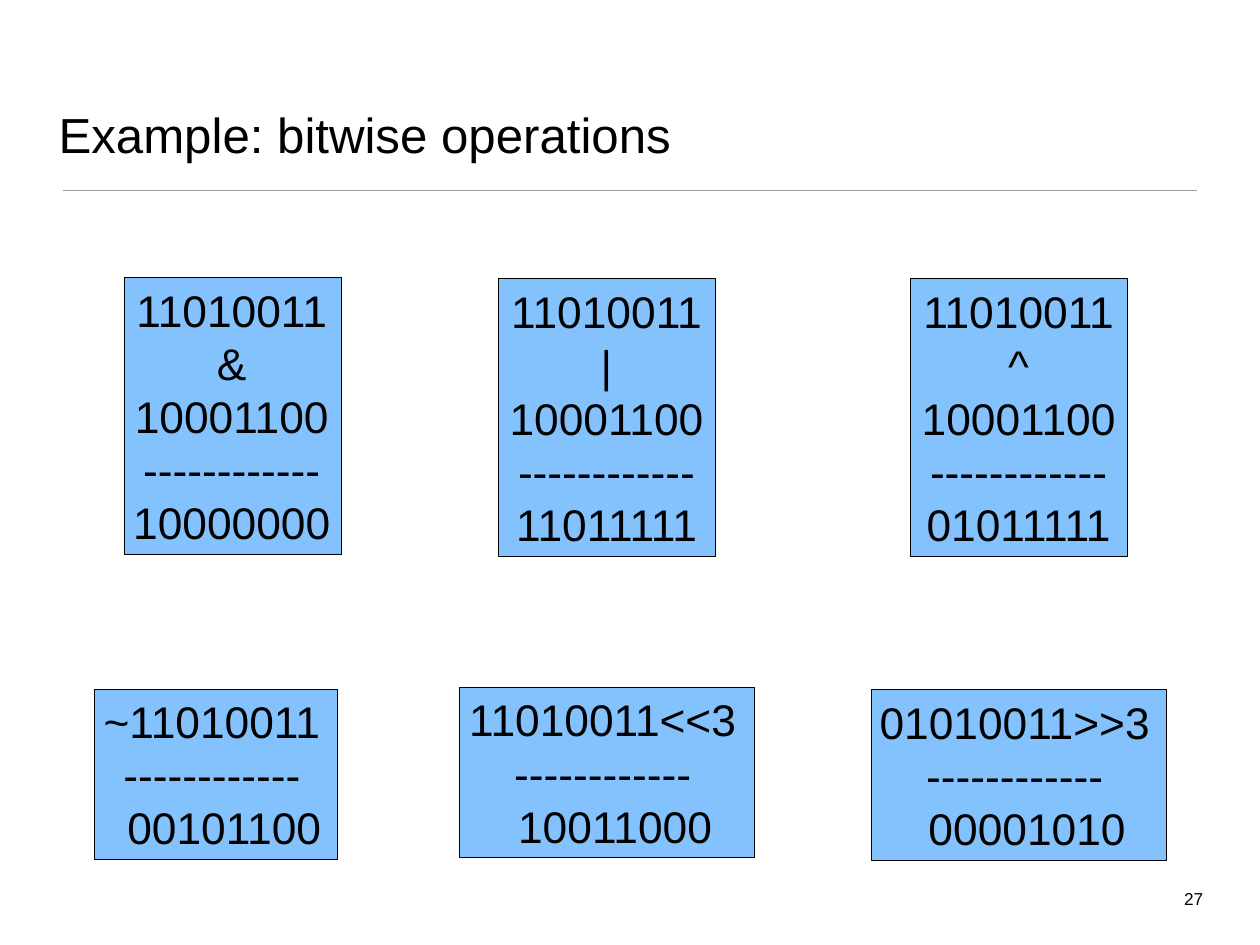
from lxml import etree
from pptx import Presentation
from pptx.dml.color import RGBColor
from pptx.enum.shapes import MSO_CONNECTOR as Connector, MSO_SHAPE as Shape
from pptx.enum.text import MSO_ANCHOR as Anchor, MSO_AUTO_SIZE as AutoSize, PP_ALIGN as Align
from pptx.oxml.ns import qn
from pptx.util import Inches, Pt

RULE = "------------"
BINARY_OPERATIONS = [
    (1.4, 3.13, "&", "10000000"),
    (5.63, 3.15, "|", "11011111"),
    (10.28, 3.15, "^", "01011111"),
]
UNARY_OPERATIONS = [
    (1.07, 7.78, 2.74, "~11010011", "00101100"),
    (5.19, 7.76, 3.32, "11010011<<3", "10011000"),
    (9.84, 7.79, 3.32, "01010011>>3", "00001010"),
]


def color(hex_value):
    """Turn a hex string into a colour."""
    return RGBColor.from_string(hex_value)


def place(shape, left, top, width, height):
    """Set the position and size of a shape in inches."""
    shape.left, shape.top = Inches(left), Inches(top)
    shape.width, shape.height = Inches(width), Inches(height)


def write(shape, text, size, align, anchor, margins, wrap=True):
    """Fill a shape with black Arial text; margins run left, top, right, bottom."""
    frame = shape.text_frame
    frame.text = text
    frame.auto_size = AutoSize.NONE
    frame.word_wrap = wrap
    frame.vertical_anchor = anchor
    frame.margin_left, frame.margin_top, frame.margin_right, frame.margin_bottom = map(Inches, margins)
    for paragraph in frame.paragraphs:
        paragraph.alignment = align
        for run in paragraph.runs:
            run.font.name = "Arial"
            run.font.size = Pt(size)
            run.font.color.rgb = color("000000")


def add_title(slide, text):
    """Place the title at the top left."""
    title = slide.shapes.title
    place(title, 0.62, 0.36, 12.97, 1.53)
    write(title, text, 40, Align.LEFT, Anchor.BOTTOM, [0.04] * 4)


def add_divider(slide):
    """Draw the grey line under the title."""
    line = slide.shapes.add_connector(
        Connector.STRAIGHT, Inches(0.71), Inches(2.15), Inches(13.51), Inches(2.15))
    line.line.color.rgb = color("9A9A9A")
    line.line.width = Pt(1)
    etree.SubElement(line._element.spPr, qn("a:effectLst"))


def add_operation(slide, left, top, width, height, lines, margins):
    """Add a blue box with one centred paragraph per line."""
    box = slide.shapes.add_shape(
        Shape.RECTANGLE, Inches(left), Inches(top), Inches(width), Inches(height))
    box.shadow.inherit = False
    box.fill.solid()
    box.fill.fore_color.rgb = color("83C2FD")
    box.line.color.rgb = color("000000")
    box.line.width = Pt(0.75)
    write(box, "\n".join(lines), 36, Align.CENTER, Anchor.MIDDLE, margins)
    return box


def indent_result(box):
    """Indent the last line so that it sits under the digits."""
    properties = box.text_frame.paragraphs[-1]._p.get_or_add_pPr()
    properties.set("marL", str(Inches(0.28)))


def add_page_number(slide, text):
    """Add the page number at the bottom right."""
    box = slide.shapes.add_textbox(Inches(13.3), Inches(9.99), Inches(0.32), Inches(0.32))
    write(box, text, 14, Align.RIGHT, Anchor.TOP, [0.04] * 4, wrap=False)


def main():
    """Build the slide and save it."""
    presentation = Presentation()
    presentation.slide_width, presentation.slide_height = Inches(14.22), Inches(10.67)
    slide = presentation.slides.add_slide(presentation.slide_layouts[5])
    add_divider(slide)
    add_title(slide, "Example: bitwise operations")
    for left, top, operator, result in BINARY_OPERATIONS:
        lines = ["11010011", operator, "10001100", RULE, result]
        add_operation(slide, left, top, 2.45, 3.13, lines, [0.05, 0.05, 0.07, 0.05])
    for left, top, width, expression, result in UNARY_OPERATIONS:
        lines = [expression, RULE, result]
        box = add_operation(slide, left, top, width, 1.92, lines, [0, 0.05, 0.1, 0.05])
        indent_result(box)
    add_page_number(slide, "27")
    presentation.save("out.pptx")


if __name__ == "__main__":
    main()
